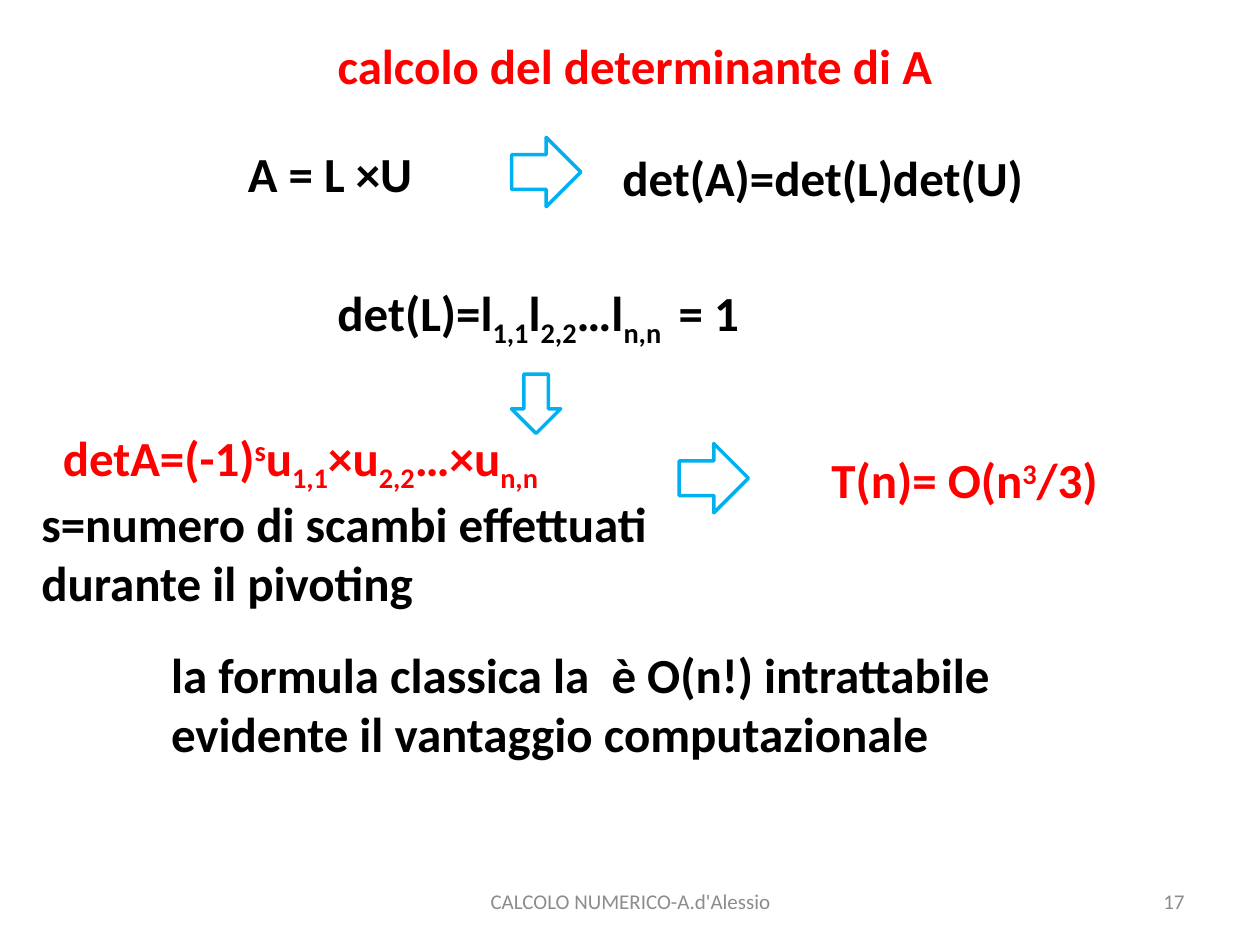
from pptx import Presentation
from pptx.dml.color import RGBColor
from pptx.enum.shapes import MSO_SHAPE
from pptx.enum.text import MSO_ANCHOR, MSO_AUTO_SIZE, PP_ALIGN
from pptx.oxml import parse_xml
from pptx.oxml.ns import nsdecls
from pptx.util import Inches, Pt

COLORS = {"red": "FF0000", "black": "000000", "gray": "8C8C8C", "blue": "00B0F0"}
BASE = {"_": "-25000", "^": "30000"}
GLOW = (
    f'<a:effectLst {nsdecls("a")}><a:outerShdw blurRad="38100" dist="38100" '
    'dir="2700000" algn="tl"><a:srgbClr val="000000"><a:alpha val="43000"/>'
    '</a:srgbClr></a:outerShdw></a:effectLst>'
)


def color(name):
    return RGBColor.from_string(COLORS[name])


def place(shape, box):
    shape.left, shape.top, shape.width, shape.height = map(Inches, box)


def add_runs(para, text):
    # A part led by _ is lowered, one led by ^ is raised.
    for part in text.split("|"):
        base = BASE.get(part[0])
        run = para.add_run()
        run.text = part[1:] if base else part
        if base:
            run._r.get_or_add_rPr().set("baseline", base)


def style(para, tone, size=28, bold=True, align=PP_ALIGN.LEFT):
    para.alignment = align
    font = para.font
    font.name, font.size, font.bold = "Calibri", Pt(size), bold
    font.color.rgb = color(tone)


def add_text(slide, box, lines, wrap=False):
    shape = slide.shapes.add_textbox(*map(Inches, box))
    frame = shape.text_frame
    frame.word_wrap = wrap
    frame.auto_size = MSO_AUTO_SIZE.SHAPE_TO_FIT_TEXT
    for i, (text, tone, indent) in enumerate(lines):
        para = frame.add_paragraph() if i else frame.paragraphs[0]
        add_runs(para, text)
        style(para, tone)
        if indent:
            para._p.get_or_add_pPr().set("marL", str(Inches(indent)))


def add_title(slide, box, text):
    title = slide.shapes.title
    place(title, box)
    frame = title.text_frame
    frame.word_wrap = False
    frame.auto_size = MSO_AUTO_SIZE.SHAPE_TO_FIT_TEXT
    frame.vertical_anchor = MSO_ANCHOR.TOP
    para = frame.paragraphs[0]
    add_runs(para, text)
    style(para, "red", align=PP_ALIGN.JUSTIFY)
    para.runs[0]._r.get_or_add_rPr().append(parse_xml(GLOW))


def add_foot(slide, box, text, align):
    frame = slide.shapes.add_textbox(*map(Inches, box)).text_frame
    frame.word_wrap = True
    frame.vertical_anchor = MSO_ANCHOR.MIDDLE
    frame.text = text
    style(frame.paragraphs[0], "gray", 12, False, align)


def add_arrow(slide, box, turn=0):
    arrow = slide.shapes.add_shape(MSO_SHAPE.DOWN_ARROW, *map(Inches, box))
    arrow.rotation = turn
    arrow.shadow.inherit = False
    arrow.fill.background()
    arrow.line.color.rgb = color("blue")
    arrow.line.width = Pt(2)


def main():
    deck = Presentation()
    deck.slide_width, deck.slide_height = Inches(10), Inches(7.5)
    slide = deck.slides.add_slide(deck.slide_layouts[5])

    add_title(slide, (2.58, 0.23, 4.94, 0.57), "calcolo del determinante di A")
    for box, text, tone in (
        ((1.87, 1.09, 1.96, 0.57), "A = L ×U", "black"),
        ((4.84, 1.12, 3.52, 0.57), "det(A)=det(L)det(U)", "black"),
        ((2.58, 2.19, 4.08, 0.57), "det(L)=l|_1,1|l|_2,2|…l|_n,n | = 1", "black"),
        ((6.5, 3.52, 2.37, 0.57), "T(n)= O(n|^3|/3)", "red"),
    ):
        add_text(slide, box, [(text, tone, 0)])
    add_text(slide, (1.17, 5.07, 7.67, 1.04), [
        ("la formula classica la  è O(n!) intrattabile", "black", 0.09),
        ("evidente il vantaggio computazionale", "black", 0.09),
    ], True)
    add_text(slide, (0.14, 3.34, 6.2, 1.51), [
        ("detA=(-1)|^s|u|_1,1|×u|_2,2|…×u|_n,n", "red", 0.26),
        ("s=numero di scambi effettuati", "black", 0.09),
        ("durante il pivoting", "black", 0.09),
    ], True)

    add_arrow(slide, (4.06, 1.09, 0.55, 0.55), 270)
    add_arrow(slide, (4.06, 2.97, 0.39, 0.47))
    add_arrow(slide, (5.39, 3.52, 0.55, 0.55), 270)

    add_foot(slide, (3.42, 6.95, 3.17, 0.4), "CALCOLO NUMERICO-A.d'Alessio",
             PP_ALIGN.CENTER)
    add_foot(slide, (7.17, 6.95, 2.33, 0.4), "17", PP_ALIGN.RIGHT)
    deck.save("out.pptx")


main()
